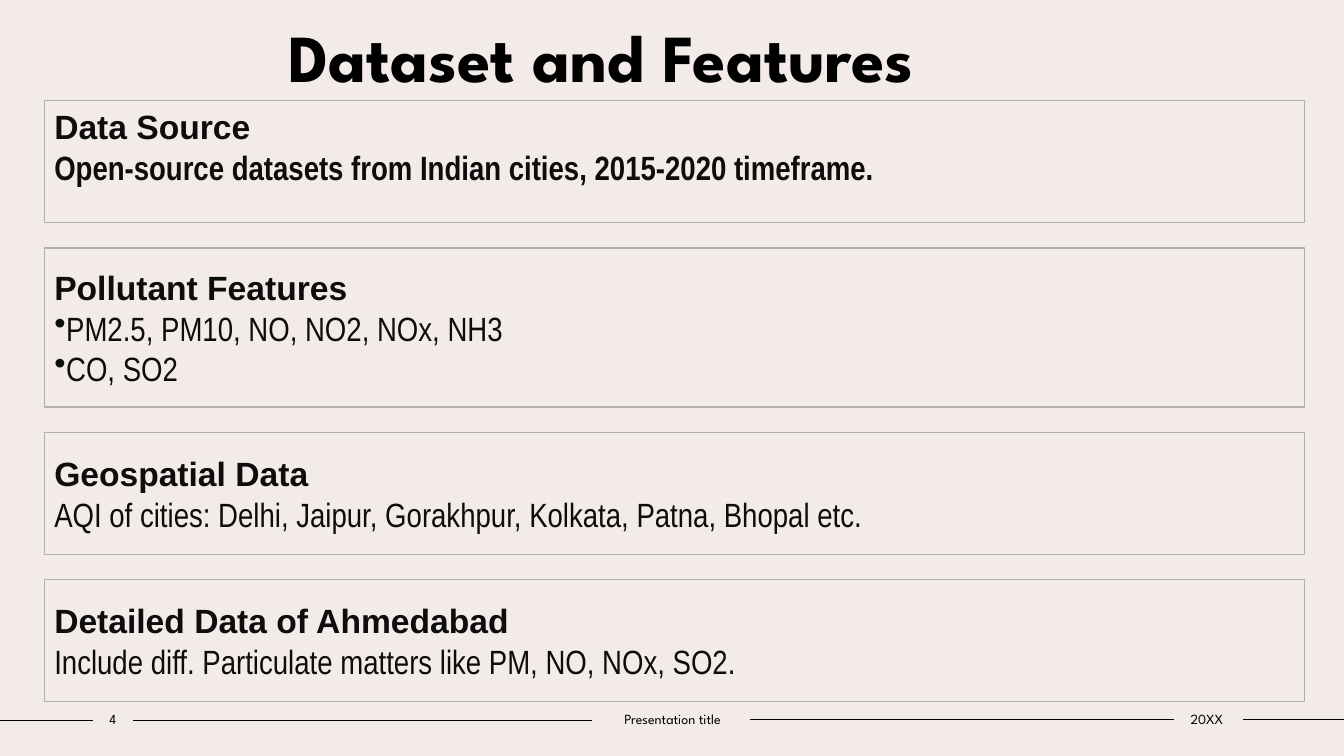
import pptx
import pptx.util
import pptx.dml.color
import pptx.enum.shapes
import pptx.enum.text
import pptx.oxml.ns
from lxml import etree

Inches, Pt = pptx.util.Inches, pptx.util.Pt
ALIGN = pptx.enum.text.PP_ALIGN
SLIDE_W, SLIDE_H = 13.33, 7.5
COLORS = {"paper": "F3EBE8", "border": "B4AEAC", "ink": "000000", "body": "0D0D0D"}
DISPLAY, HEADING, DETAIL = "League Spartan", "Arial", "Arial Narrow"

CARD_LEFT, CARD_TOP, CARD_W, CARD_GAP = 0.44, 1.0, 12.5, 0.25
CARDS = [
    {"heading": "Data Source", "height": 1.21, "bold": True, "bottom_inset": 0.35,
     "details": ["Open-source datasets from Indian cities, 2015-2020 timeframe."]},
    {"heading": "Pollutant Features", "height": 1.58, "bulleted": True,
     "details": ["PM2.5, PM10, NO, NO2, NOx, NH3", "CO, SO2"]},
    {"heading": "Geospatial Data", "height": 1.21,
     "details": ["AQI of cities: Delhi, Jaipur, Gorakhpur, Kolkata, Patna, Bhopal etc."]},
    {"heading": "Detailed Data of Ahmedabad", "height": 1.21,
     "details": ["Include diff. Particulate matters like PM, NO, NOx, SO2."]},
]
FOOTER_RULES = [(0, 0.92, 0.15), (1.32, 5.87, 0.15), (7.44, 11.64, 0.14), (12.33, SLIDE_W, 0.14)]
FOOTER_LABELS = [("4", 0.92, 0.4), ("Presentation title", 5.87, 1.6), ("20XX", 11.62, 0.7)]


def rgb(name):
    """Return the named colour."""
    return pptx.dml.color.RGBColor.from_string(COLORS[name])


def style(paragraph, text, font, size, color, bold=False, align=ALIGN.LEFT):
    """Fill one paragraph with text in a single style."""
    paragraph.text = text
    paragraph.alignment = align
    paragraph.font.name = font
    paragraph.font.size = Pt(size)
    paragraph.font.bold = bold
    paragraph.font.color.rgb = rgb(color)


def add_label(slide, text, box, size, bold=False, side_inset=0.1):
    """Place a centred one-line label in the box."""
    frame = slide.shapes.add_textbox(*map(Inches, box)).text_frame
    frame.word_wrap = True
    frame.vertical_anchor = pptx.enum.text.MSO_ANCHOR.MIDDLE
    frame.margin_left = frame.margin_right = Inches(side_inset)
    style(frame.paragraphs[0], text, DISPLAY, size, "ink", bold, ALIGN.CENTER)


def add_bullet(paragraph):
    """Put a bullet directly before the paragraph text."""
    properties = paragraph._p.get_or_add_pPr()
    bullet = etree.SubElement(properties, pptx.oxml.ns.qn("a:buChar"))
    bullet.set("char", "•")
    properties.insert_element_before(bullet, "a:tabLst", "a:defRPr", "a:extLst")


def add_card(slide, box, heading, details, bold=False, bulleted=False, bottom_inset=0.05):
    """Draw an outlined card with a heading and its detail lines."""
    card = slide.shapes.add_shape(
        pptx.enum.shapes.MSO_SHAPE.RECTANGLE, *map(Inches, box))
    card.shadow.inherit = False
    card.fill.solid()
    card.fill.fore_color.rgb = rgb("paper")
    card.line.color.rgb = rgb("border")
    card.line.width = Pt(1)
    frame = card.text_frame
    frame.word_wrap = True
    frame.vertical_anchor = pptx.enum.text.MSO_ANCHOR.MIDDLE
    frame.margin_bottom = Inches(bottom_inset)
    style(frame.paragraphs[0], heading, HEADING, 24, "body", True)
    for detail in details:
        paragraph = frame.add_paragraph()
        style(paragraph, detail, DETAIL, 24, "body", bold)
        if bulleted:
            add_bullet(paragraph)


def add_cards(slide, left, top, width):
    """Stack the cards downwards with equal gaps."""
    for card in CARDS:
        content = {key: value for key, value in card.items() if key != "height"}
        add_card(slide, (left, top, width, card["height"]), **content)
        top += card["height"] + CARD_GAP


def add_footer(slide, top, height):
    """Draw the footer labels and the rules between them."""
    for start, end, drop in FOOTER_RULES:
        rule = slide.shapes.add_connector(
            pptx.enum.shapes.MSO_CONNECTOR.STRAIGHT,
            *map(Inches, (start, top + drop, end, top + drop)))
        rule.line.color.rgb = rgb("ink")
        rule.line.width = Pt(1)
        etree.SubElement(rule._element.spPr, pptx.oxml.ns.qn("a:effectLst"))
    for text, left, width in FOOTER_LABELS:
        add_label(slide, text, (left, top, width, height), 10, side_inset=0)


def main():
    """Build and save the slide."""
    deck = pptx.Presentation()
    deck.slide_width, deck.slide_height = Inches(SLIDE_W), Inches(SLIDE_H)
    slide = deck.slides.add_slide(deck.slide_layouts[6])
    slide.background.fill.solid()
    slide.background.fill.fore_color.rgb = rgb("paper")
    add_footer(slide, 7.0, 0.27)
    add_label(slide, "Dataset and Features", (0.54, 0, 10.84, 1.11), 48, bold=True)
    add_cards(slide, CARD_LEFT, CARD_TOP, CARD_W)
    deck.save("out.pptx")


if __name__ == "__main__":
    main()
